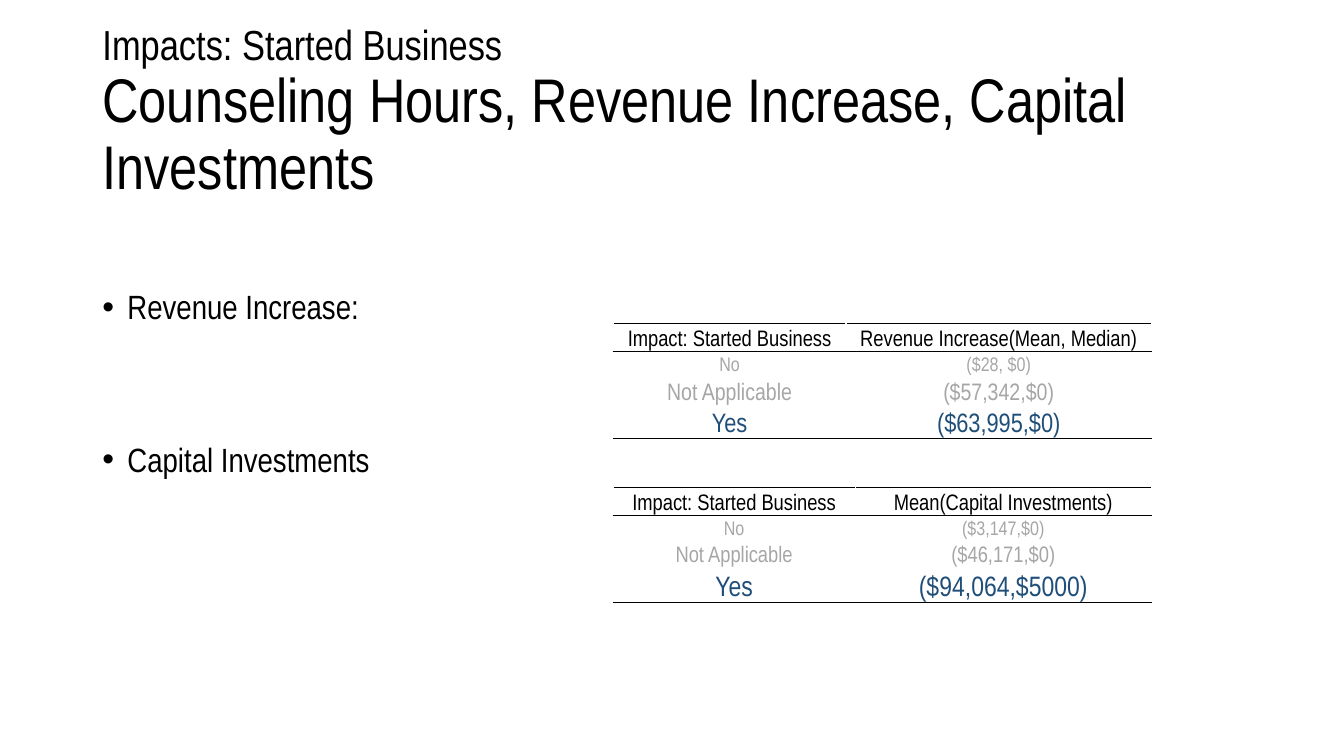
"""Build the slide on the impacts of a started business."""
from dataclasses import dataclass

from lxml.etree import SubElement
from pptx import Presentation
from pptx.dml.color import RGBColor
from pptx.enum.text import MSO_ANCHOR, MSO_AUTO_SIZE, PP_ALIGN
from pptx.oxml.ns import qn
from pptx.util import Inches, Pt

TITLE = ("Impacts: Started Business",
         "Counseling Hours, Revenue Increase, Capital Investments")
POINTS = ("Revenue Increase:", "Capital Investments")
TABLES = (
    {"top": 38.5, "cols": (27.72, 36.36), "sizes": (16, 14, 17, 19),
     "rows": (("Impact: Started Business", "Revenue Increase(Mean, Median)"),
              ("No", "($28, $0)"),
              ("Not Applicable", "($57,342,$0)"),
              ("Yes", "($63,995,$0)"))},
    {"top": 58, "cols": (28.8, 35.28), "sizes": (16, 14, 16, 20),
     "rows": (("Impact: Started Business", "Mean(Capital Investments)"),
              ("No", "($3,147,$0)"),
              ("Not Applicable", "($46,171,$0)"),
              ("Yes", "($94,064,$5000)"))},
)

COLS, ROWS = 160, 90
LEFT, WIDE = 11, 138
TABLE_LEFT, ROW_HIGH = 73, 2.5


@dataclass(frozen=True)
class Theme:
    """Hold the fonts, sizes and colours."""
    font: str = "Arial Narrow"
    ink: str = "000000"
    pale: str = "A6A6A6"
    mark: str = "1F4E79"
    paper: str = "FFFFFF"
    small: int = 30
    large: int = 44
    body: int = 24
    gap: int = 83
    line: float = 0.9


THEME = Theme()


def grid(*cells):
    """Turn grid cells into lengths."""
    return [Inches(cell / 12) for cell in cells]


def style(font, size, color=THEME.ink):
    """Set the face, size and colour of a font."""
    font.name, font.size = THEME.font, Pt(size)
    font.color.rgb = RGBColor.from_string(color)


def add_title(slide):
    """Fill and place the title."""
    title = slide.shapes.title
    title.left, title.top, title.width, title.height = grid(LEFT, 4.8, WIDE, 17.4)
    frame = title.text_frame
    frame.auto_size, frame.word_wrap = MSO_AUTO_SIZE.NONE, True
    frame.vertical_anchor = MSO_ANCHOR.MIDDLE
    para = frame.paragraphs[0]
    para.alignment, para.line_spacing = PP_ALIGN.LEFT, THEME.line
    style(para.font, THEME.small)
    para.add_run().text = TITLE[0]
    para.add_line_break()
    main = para.add_run()
    main.text = TITLE[1]
    main.font.size = Pt(THEME.large)


def add_points(slide):
    """Add the bulleted list."""
    frame = slide.shapes.add_textbox(*grid(LEFT, 34, 60, 28)).text_frame
    frame.word_wrap = True
    for order, text in enumerate(POINTS):
        para = frame.add_paragraph() if order else frame.paragraphs[0]
        para.text, para.line_spacing = text, THEME.line
        para.space_before = Pt(THEME.gap if order else 0)
        style(para.font, THEME.body)
        props = para._p.get_or_add_pPr()
        props.set("marL", str(Inches(0.25)))
        props.set("indent", str(-Inches(0.25)))
        face = props.makeelement(qn("a:buFont"), {"typeface": "Arial"})
        dot = props.makeelement(qn("a:buChar"), {"char": "•"})
        place = props.index(props.find(qn("a:defRPr")))
        props[place:place] = [face, dot]


def add_edges(cell, top, bottom):
    """Draw the four borders of a cell."""
    props = cell._tc.get_or_add_tcPr()
    colors = {"L": THEME.paper, "R": THEME.paper, "T": top, "B": bottom}
    for side, color in colors.items():
        line = SubElement(props, qn(f"a:ln{side}"), w=str(Pt(1)))
        fill = SubElement(line, qn("a:solidFill"))
        SubElement(fill, qn("a:srgbClr"), val=color)


def add_table(slide, data):
    """Add one table of impacts."""
    rows, cols = data["rows"], data["cols"]
    last = len(rows) - 1
    place = grid(TABLE_LEFT, data["top"], sum(cols), ROW_HIGH * len(rows))
    table = slide.shapes.add_table(len(rows), len(cols), *place).table
    table.first_row = table.horz_banding = False
    for col, width in zip(table.columns, grid(*cols)):
        col.width = width
    for at, (row, size) in enumerate(zip(rows, data["sizes"])):
        color = {0: THEME.ink, last: THEME.mark}.get(at, THEME.pale)
        top = THEME.ink if at in (0, 1) else THEME.paper
        bottom = THEME.ink if at in (0, last) else THEME.paper
        for side, text in enumerate(row):
            cell = table.cell(at, side)
            cell.margin_left = cell.margin_right = cell.margin_top = Inches(0.01)
            cell.margin_bottom = 0
            cell.vertical_anchor = MSO_ANCHOR.BOTTOM
            add_edges(cell, top, bottom)
            cell.fill.background()
            para = cell.text_frame.paragraphs[0]
            para.text, para.alignment = text, PP_ALIGN.CENTER
            style(para.font, size, color)


def main():
    """Build and save the deck."""
    deck = Presentation()
    deck.slide_width, deck.slide_height = grid(COLS, ROWS)
    slide = deck.slides.add_slide(deck.slide_layouts[5])
    add_title(slide)
    add_points(slide)
    for data in TABLES:
        add_table(slide, data)
    deck.save("out.pptx")


if __name__ == "__main__":
    main()
